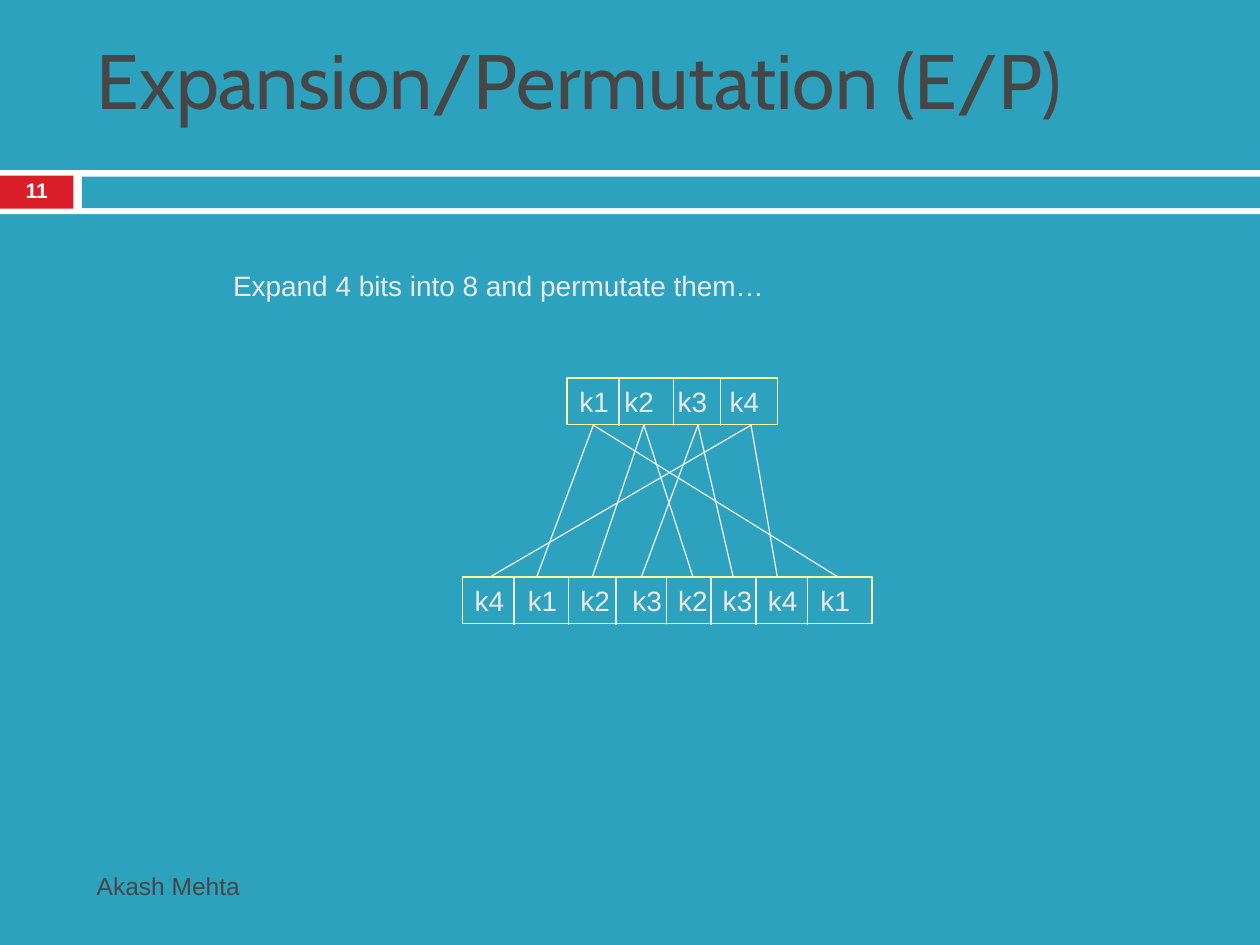
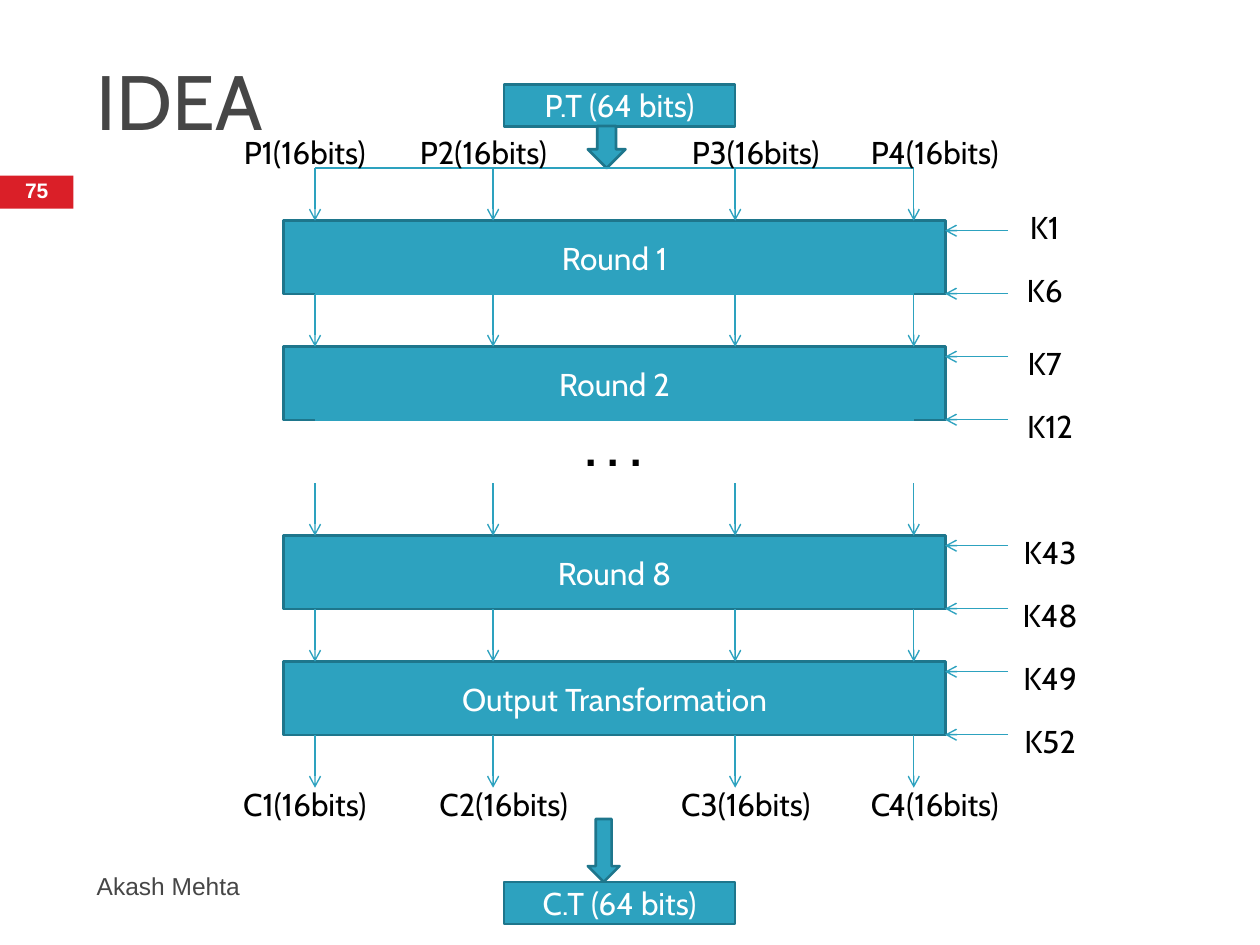
from lxml.etree import SubElement as Sub
from pptx import Presentation
from pptx.dml.color import RGBColor as Rgb
from pptx.enum.shapes import MSO_CONNECTOR as Conn, MSO_SHAPE as Geo
from pptx.enum.text import MSO_ANCHOR as Anchor, MSO_AUTO_SIZE as Auto, PP_ALIGN as Align
from pptx.oxml.ns import qn
from pptx.util import Cm, Pt

hues = {
    "teal": "2DA2BF", "edge": "1E768C", "red": "DA1F28", "white": "FFFFFF",
    "black": "000000", "dark": "464646", "pale": "EAEAEA", "gold": "FFFF99",
}
hues = {name: Rgb.from_string(code) for name, code in hues.items()}


def box(slide, at, text="", size=18, hue="black", face="Cabin", fill=None,
        edge=None, width=1.5, align=Align.CENTER, bold=False, geo=Geo.RECTANGLE):
    """Add a shape or a plain label; at is left, top, width, height in cm."""
    at = [Cm(n) for n in at]
    if fill or edge:
        shape = slide.shapes.add_shape(geo, *at)
        shape.shadow.inherit = False
        for part, name in ((shape.fill, fill), (shape.line.fill, edge)):
            if name:
                part.solid()
                part.fore_color.rgb = hues[name]
            else:
                part.background()
        if edge:
            shape.line.width = Pt(width)
    else:
        shape = slide.shapes.add_textbox(*at)
    if text:
        frame = shape.text_frame
        frame.text = text
        frame.word_wrap = True
        frame.vertical_anchor = Anchor.MIDDLE
        para = frame.paragraphs[0]
        para.alignment = align
        font = para.runs[0].font
        font.name, font.size, font.bold = face, Pt(size), bold
        font.color.rgb = hues[hue]
    return shape


def line(slide, x1, y1, x2, y2, hue="teal", width=0.79, arrow=False):
    """Add a straight line in cm, with an open arrowhead at its end if asked."""
    wire = slide.shapes.add_connector(Conn.STRAIGHT, Cm(x1), Cm(y1), Cm(x2), Cm(y2))
    wire.line.color.rgb = hues[hue]
    wire.line.width = Pt(width)
    if arrow:
        Sub(wire.line._get_or_add_ln(), qn("a:tailEnd"), type="arrow")
    Sub(wire._element.spPr, qn("a:effectLst"))


deck = Presentation()
deck.slide_width, deck.slide_height = Cm(25.4), Cm(19.05)

# Shared frame: background, title, page number, footer
frames = [
    ("Expansion/Permutation (E/P)", "11", "teal", (1.7, 0, 21.59, 3.18)),
    ("IDEA", "75", "white", (1.7, 0.64, 22.66, 2.74)),
]
slides = []
for name, page, back, at in frames:
    slide = deck.slides.add_slide(deck.slide_layouts[5])
    slide.background.fill.solid()
    slide.background.fill.fore_color.rgb = hues[back]
    if back == "teal":
        box(slide, (0, 3.43, 25.4, 0.89), fill="white")
        box(slide, (1.65, 3.56, 23.75, 0.64), fill="teal")
    title = slide.shapes.title
    title.left, title.top, title.width, title.height = [Cm(n) for n in at]
    frame = title.text_frame
    frame.text = name
    frame.auto_size = Auto.NONE
    frame.vertical_anchor = Anchor.MIDDLE
    frame.paragraphs[0].alignment = Align.LEFT
    font = frame.paragraphs[0].runs[0].font
    font.name, font.size = "Cabin", Pt(44)
    font.color.rgb = hues["dark"]
    tag = box(slide, (0, 3.54, 1.48, 0.67), page, 12, "white", "Arial", "red", bold=True)
    tag.text_frame.paragraphs[0].line_spacing = 0.8
    box(slide, (1.7, 17.35, 15.06, 1.02), "Akash Mehta", 14, "dark", "Arial",
        align=Align.LEFT)
    slides.append(slide)
swap, idea = slides

# Slide 1: two rows of bits, with tab stops and cell dividers
box(swap, (4.45, 5.28, 16.51, 0.94), "Expand 4 bits into 8 and permutate them…",
    16, "pale", "Arial", align=Align.LEFT)
rows = [
    ((11.43, 7.62, 4.24, 0.94), "k1 k2 k3 k4", (0.91, 1.98, 3.03),
     (12.48, 13.58, 14.53)),
    ((9.32, 11.63, 8.26, 0.94), "k4 k1 k2 k3 k2 k3 k4 k1",
     (1.07, 2.13, 3.18, 4.1, 5, 5.91, 6.97),
     (10.36, 11.46, 12.42, 13.44, 14.33, 15.24, 16.28)),
]
for at, bits, stops, cuts in rows:
    row = box(swap, at, bits.replace(" ", "\t"), 16, "pale", "Arial",
              edge="gold", width=0.75, align=Align.LEFT)
    tabs = Sub(row.text_frame.paragraphs[0]._p.get_or_add_pPr(), qn("a:tabLst"))
    for stop in stops:
        Sub(tabs, qn("a:tab"), pos=str(Cm(stop)), algn="l")
    for x in cuts:
        line(swap, x, at[1], x, at[1] + 0.97, "pale", 0.75)

# Slide 1: wires from each input bit to its output cells
heads = {"k1": 11.96, "k2": 12.98, "k3": 14.07, "k4": 15.14}
feet = (9.88, 10.82, 11.94, 12.93, 13.97, 14.78, 15.67, 16.89)
for bit, x in zip(rows[1][1].split(), feet):
    line(swap, heads[bit], 8.57, x, 11.63, "pale", 0.75)

# Slide 2: plain text in, cipher text out
for text, top in (("P.T (64 bits)", 1.7), ("C.T (64 bits)", 17.78)):
    box(idea, (10.16, top, 4.66, 0.85), text, hue="white", fill="teal", edge="edge")
for at in ((11.85, 2.54, 0.76, 0.85), (11.85, 16.51, 0.64, 1.27)):
    box(idea, at, fill="teal", edge="edge", geo=Geo.DOWN_ARROW)

# Slide 2: rounds, each with its first and last key
rounds = [
    ("Round 1", 4.45, "K1", "K6"),
    ("Round 2", 6.99, "K7", "K12"),
    ("Round 8", 10.8, "K43", "K48"),
    ("Output Transformation", 13.34, "K49", "K52"),
]
for text, top, *keys in rounds:
    box(idea, (5.72, top, 13.34, 1.48), text, hue="white", fill="teal", edge="edge")
    lift = 0.2 if top == 4.45 else 0
    for i, key in enumerate(keys):
        y = top + 0.2 + 1.27 * i
        line(idea, 20.32, y, 19.05, y, arrow=True)
        wide = 1.7 if len(key) > 2 else 1.48
        box(idea, (20.32, top - lift + 1.27 * i, wide, 0.64), key)
box(idea, (10.67, 8.69, 3.39, 0.64), ". . .", 28, bold=True)

# Slide 2: bus lines and the four block arrows between rounds
lanes = (6.35, 9.94, 14.82, 18.42)
for y in (3.39, 5.93, 8.47):
    line(idea, lanes[0], y, lanes[-1], y)
for end in [top for _, top, *_ in rounds] + [15.88]:
    for x in lanes:
        line(idea, x, end - 1.06, x, end, arrow=True)

# Slide 2: block labels
blocks = [
    ("P", 2.74, (4.45, 8.05, 13.54, 17.15)),
    ("C", 15.88, (4.45, 8.46, 13.34, 17.15)),
]
for kind, top, lefts in blocks:
    for i, left in enumerate(lefts, 1):
        box(idea, (left, top, 3.39, 0.64), f"{kind}{i}(16bits)")

deck.save("out.pptx")
